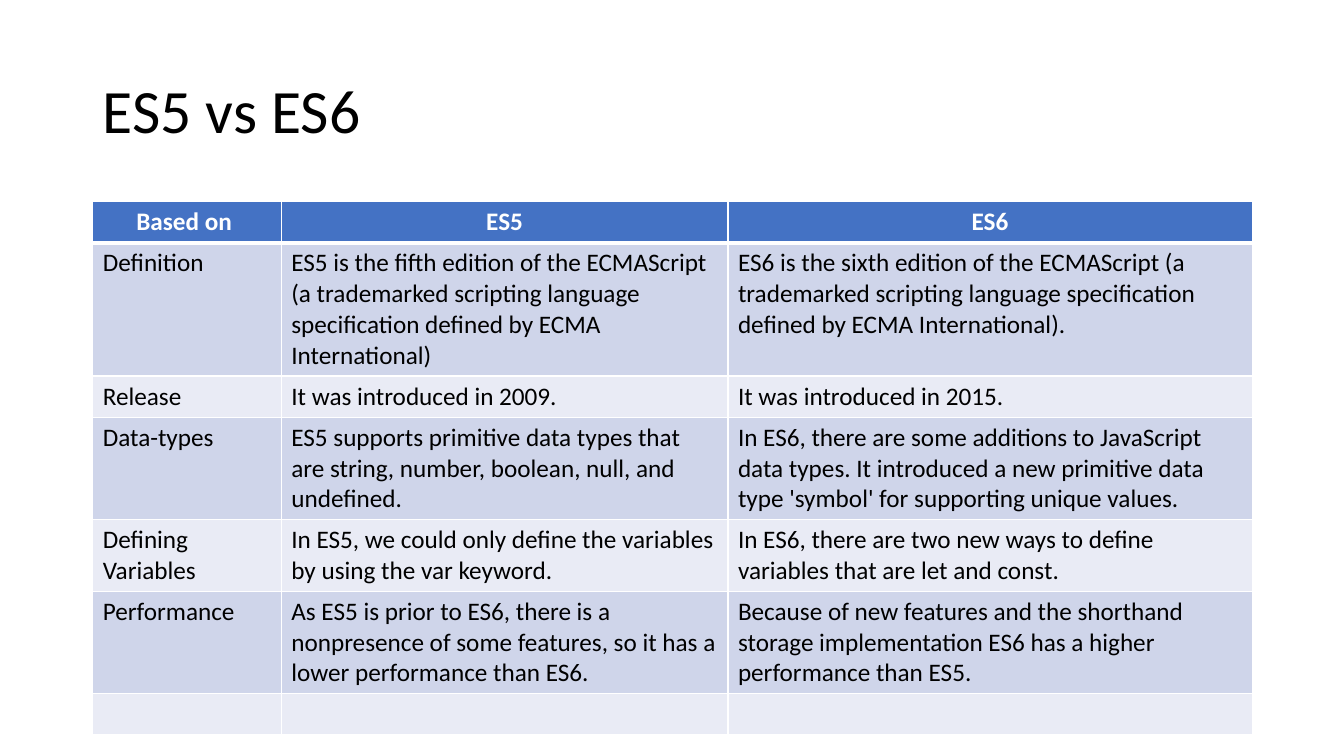
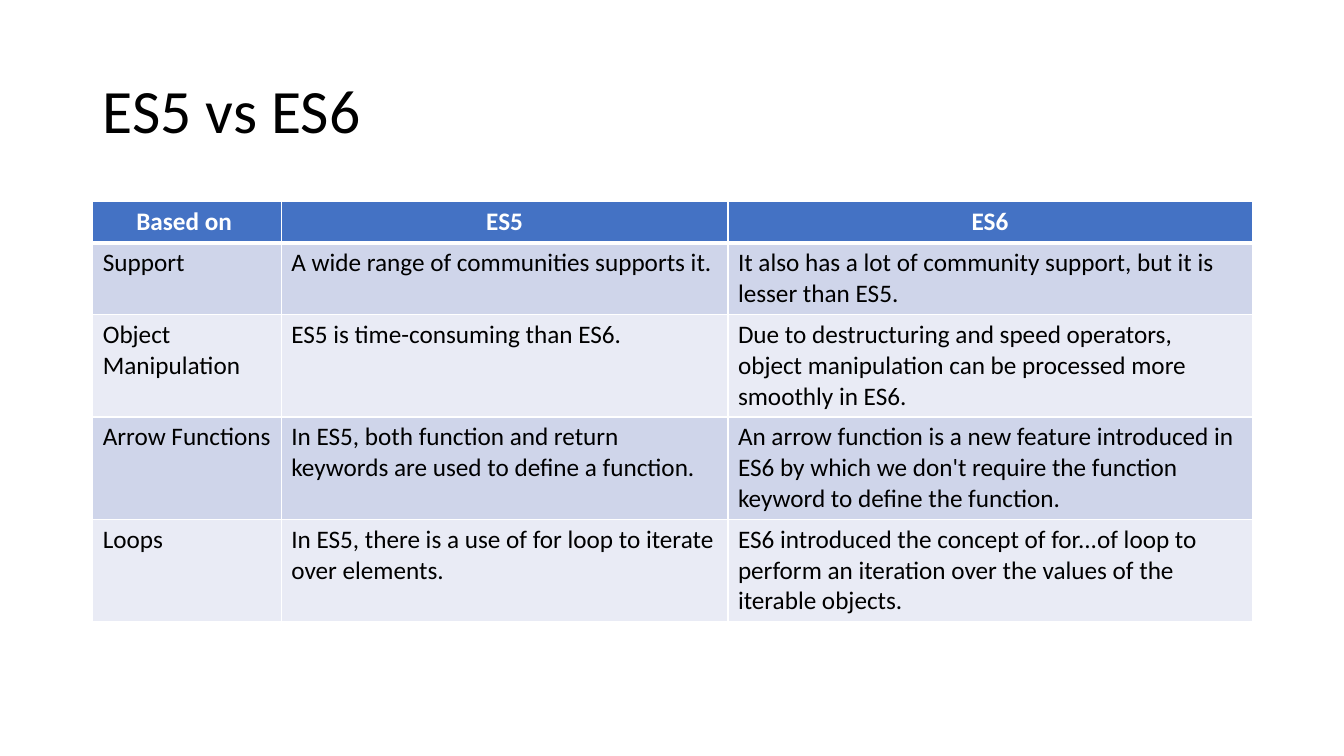
from dataclasses import dataclass

from lxml import etree
from pptx import Presentation
from pptx.dml.color import RGBColor
from pptx.enum.text import MSO_ANCHOR, MSO_AUTO_SIZE, PP_ALIGN
from pptx.oxml.ns import qn
from pptx.util import Inches, Pt

LEFT, CENTER = PP_ALIGN.LEFT, PP_ALIGN.CENTER
MIDDLE = MSO_ANCHOR.MIDDLE
NO_AUTOFIT = MSO_AUTO_SIZE.NONE


@dataclass(frozen=True)
class Theme:
    font: str = "Calibri"
    title_size: int = 44
    table_size: int = 18
    text: str = "000000"
    header_text: str = "FFFFFF"
    header_fill: str = "4472C4"
    odd_fill: str = "CFD5EA"
    even_fill: str = "E9EBF5"
    border: str = "FFFFFF"
    thin: int = 1
    thick: int = 3


THEME = Theme()
TITLE = "ES5 vs ES6"
HEADINGS = ("Based on ", "ES5", "ES6")
COLUMN_WIDTHS = (1.87, 4.43, 5.2)
ROW_HEIGHT = 0.41
MARGIN, CONTENT_WIDTH = 0.92, 11.5

COMPARISONS = [
    [
        ("Definition",
         "ES5 is the fifth edition of the ECMAScript (a trademarked scripting "
         "language specification defined by ECMA International)",
         "ES6 is the sixth edition of the ECMAScript (a trademarked scripting "
         "language specification defined by ECMA International)."),
        ("Release", "It was introduced in 2009.", "It was introduced in 2015."),
        ("Data-types",
         "ES5 supports primitive data types that are string, number, boolean, "
         "null, and undefined.",
         "In ES6, there are some additions to JavaScript data types. It introduced "
         "a new primitive data type 'symbol' for supporting unique values."),
        ("Defining Variables",
         "In ES5, we could only define the variables by using the var keyword.",
         "In ES6, there are two new ways to define variables that are let and const."),
        ("Performance",
         "As ES5 is prior to ES6, there is a nonpresence of some features, so it "
         "has a lower performance than ES6.",
         "Because of new features and the shorthand storage implementation ES6 has "
         "a higher performance than ES5."),
        ("", "", ""),
    ],
    [
        ("Support",
         "A wide range of communities supports it.",
         "It also has a lot of community support, but it is lesser than ES5."),
        ("Object Manipulation",
         "ES5 is time-consuming than ES6.",
         "Due to destructuring and speed operators, object manipulation can be "
         "processed more smoothly in ES6."),
        ("Arrow Functions",
         "In ES5, both function and return keywords are used to define a function.",
         "An arrow function is a new feature introduced in ES6 by which we don't "
         "require the function keyword to define the function."),
        ("Loops",
         "In ES5, there is a use of for loop to iterate over elements.",
         "ES6 introduced the concept of for...of loop to perform an iteration over "
         "the values of the iterable objects."),
    ],
]


def add_run(paragraph, text, size, color, bold=False):
    run = paragraph.add_run()
    run.text = text
    run.font.name = THEME.font
    run.font.size = Pt(size)
    run.font.bold = bold
    run.font.color.rgb = RGBColor.from_string(color)


def add_borders(cell, top, bottom):
    properties = cell._tc.get_or_add_tcPr()
    widths = {"lnL": THEME.thin, "lnR": THEME.thin, "lnT": top, "lnB": bottom}
    for side, width in widths.items():
        line = etree.SubElement(properties, qn(f"a:{side}"), w=str(Pt(width)))
        fill = etree.SubElement(line, qn("a:solidFill"))
        etree.SubElement(fill, qn("a:srgbClr"), val=THEME.border)


presentation = Presentation()
presentation.slide_width = Inches(13.33)
presentation.slide_height = Inches(7.5)
title_only = presentation.slide_layouts[5]

for comparison in COMPARISONS:
    slide = presentation.slides.add_slide(title_only)

    title = slide.shapes.title
    title.left, title.top = Inches(MARGIN), Inches(0.4)
    title.width, title.height = Inches(CONTENT_WIDTH), Inches(1.45)
    title_frame = title.text_frame
    title_frame.auto_size = NO_AUTOFIT
    title_frame.vertical_anchor = MIDDLE
    heading = title_frame.paragraphs[0]
    heading.alignment = LEFT
    heading.line_spacing = 0.9
    add_run(heading, TITLE, THEME.title_size, THEME.text)

    rows = [HEADINGS, *comparison]
    table = slide.shapes.add_table(
        len(rows), len(HEADINGS), Inches(MARGIN), Inches(2),
        Inches(CONTENT_WIDTH), Inches(ROW_HEIGHT * len(rows))).table
    for column, width in zip(table.columns, COLUMN_WIDTHS):
        column.width = Inches(width)

    for row_index, entries in enumerate(rows):
        table.rows[row_index].height = Inches(ROW_HEIGHT)
        is_header = row_index == 0
        if is_header:
            row_fill, text_color = THEME.header_fill, THEME.header_text
        else:
            row_fill = THEME.odd_fill if row_index % 2 else THEME.even_fill
            text_color = THEME.text

        for column_index, entry in enumerate(entries):
            cell = table.cell(row_index, column_index)
            add_borders(cell,
                        top=THEME.thick if row_index == 1 else THEME.thin,
                        bottom=THEME.thick if is_header else THEME.thin)
            cell.fill.solid()
            cell.fill.fore_color.rgb = RGBColor.from_string(row_fill)
            paragraph = cell.text_frame.paragraphs[0]
            paragraph.alignment = CENTER if is_header else LEFT
            if entry:
                add_run(paragraph, entry, THEME.table_size, text_color, is_header)

presentation.save("out.pptx")
